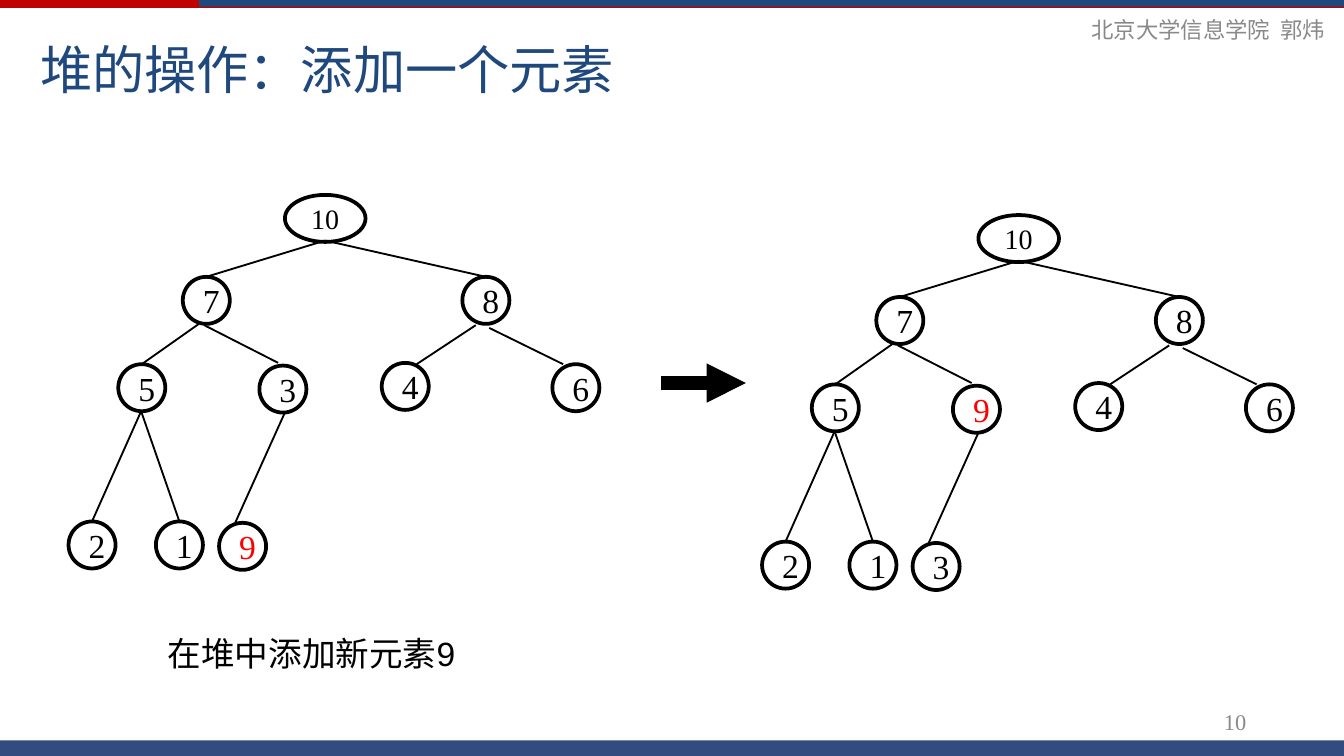
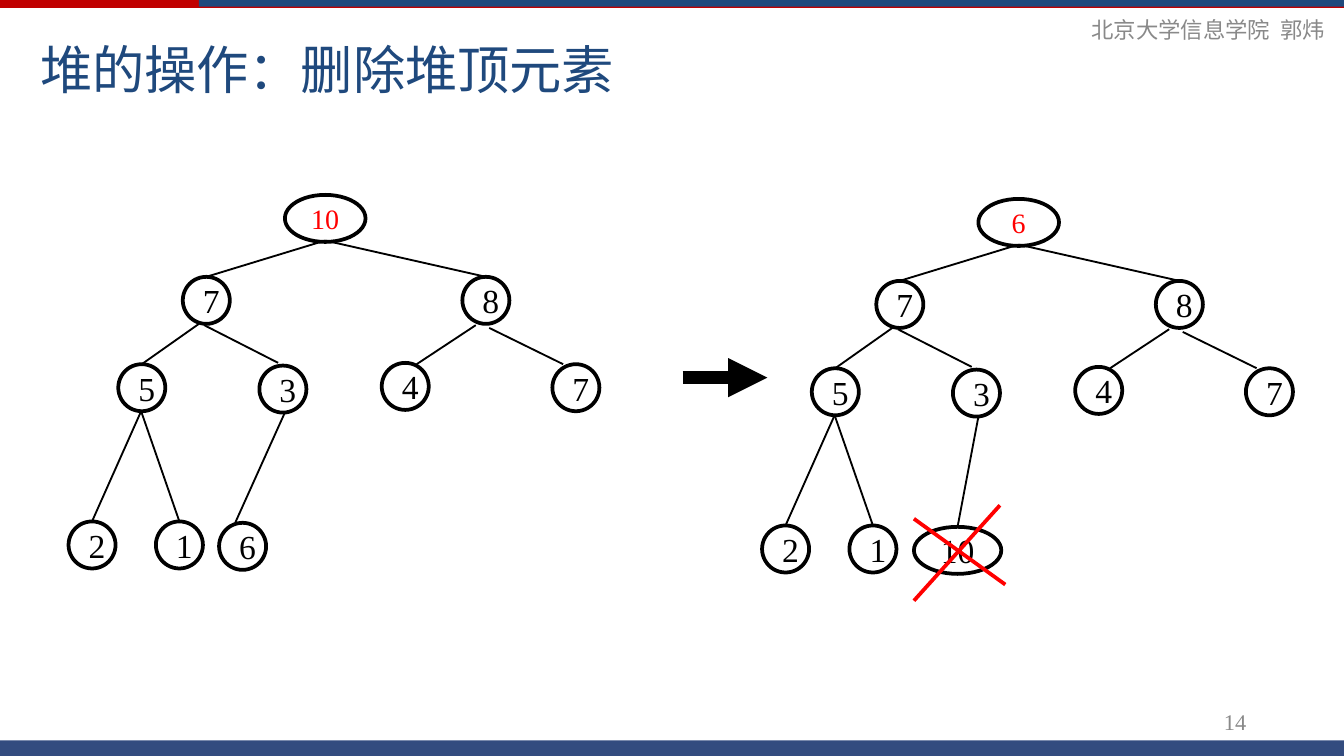
from dataclasses import dataclass, replace
from typing import Optional

from lxml import etree
from pptx import Presentation
from pptx import util as u
from pptx.dml import color
from pptx.enum import shapes, text
from pptx.oxml import ns

BLACK, RED, GREY = "000000", "FF0000", "898989"
BLUE, CRIMSON, NAVY = "1F497D", "C00000", "002060"
SANS, SERIF = "Arial", "Times New Roman"
NODE_SIZE = 0.35
RIGHT_SHIFT = 5.16

Point = tuple[float, float]


@dataclass(frozen=True)
class Slot:
    left: float
    top: float
    edge_start: Optional[Point] = None
    edge_end: Optional[Point] = None
    width: float = NODE_SIZE
    font_size: int = 18

    @property
    def top_middle(self) -> Point:
        return self.left + self.width / 2, self.top


@dataclass(frozen=True)
class Heap:
    values: list[int]
    red_index: Optional[int] = None
    dx: float = 0
    dy: float = 0
    wide_last: bool = False


@dataclass(frozen=True)
class Page:
    title: str
    number: int
    heaps: list[Heap]
    arrow_start: Point
    caption: str = ""
    cross: tuple[tuple[Point, Point], ...] = ()


SLOTS = [
    Slot(2.12, 1.45, width=0.6, font_size=15),
    Slot(1.36, 2.06, (2.42, 1.79)),
    Slot(3.44, 2.06, (2.42, 1.79)),
    Slot(0.88, 2.71, (1.48, 2.41)),
    Slot(1.93, 2.72, (1.52, 2.42), (2.07, 2.7)),
    Slot(2.84, 2.7, (3.54, 2.42), (3.1, 2.71)),
    Slot(4.11, 2.71, (3.64, 2.44), (4.19, 2.71)),
    Slot(0.51, 3.88, (1.05, 3.06)),
    Slot(1.16, 3.88, (1.05, 3.06)),
    Slot(1.63, 3.89, (2.12, 3.07), (1.75, 3.89)),
]
WIDE_LAST = replace(SLOTS[-1], left=1.64, width=0.65, edge_end=None)

PAGES = [
    Page(
        "堆的操作：添加一个元素", 10,
        [
            Heap([10, 7, 8, 5, 3, 4, 6, 2, 1, 9], red_index=9),
            Heap([10, 7, 8, 5, 9, 4, 6, 2, 1, 3], red_index=4, dx=RIGHT_SHIFT, dy=0.15),
        ],
        arrow_start=(4.92, 2.85),
        caption="在堆中添加新元素9",
    ),
    Page(
        "堆的操作：删除堆顶元素", 14,
        [
            Heap([10, 7, 8, 5, 3, 4, 7, 2, 1, 6], red_index=0),
            Heap([6, 7, 8, 5, 3, 4, 7, 2, 1, 10], red_index=0,
                 dx=RIGHT_SHIFT, dy=0.03, wide_last=True),
        ],
        arrow_start=(5.08, 2.81),
        cross=(((7.44, 3.76), (6.8, 4.47)), ((7.48, 4.35), (6.8, 3.86))),
    ),
]


def rgb(value: str) -> color.RGBColor:
    return color.RGBColor.from_string(value)


def write(shape, content: str, *, size: float = 18, font: str = SERIF, fill: str = BLACK,
          align=text.PP_ALIGN.CENTER, anchor=text.MSO_ANCHOR.MIDDLE) -> None:
    frame = shape.text_frame
    frame.word_wrap = True
    frame.vertical_anchor = anchor
    paragraph = frame.paragraphs[0]
    paragraph.alignment = align
    run = paragraph.add_run()
    run.text = content
    run.font.size = u.Pt(size)
    run.font.name = font
    run.font.color.rgb = rgb(fill)


def add_text(slide, left: float, top: float, width: float, height: float,
             content: str, **style) -> None:
    box = slide.shapes.add_textbox(*map(u.Inches, (left, top, width, height)))
    write(box, content, **style)


def add_bar(slide, left: float, top: float, width: float, height: float, fill: str,
            opacity: Optional[int] = None) -> None:
    bar = slide.shapes.add_shape(shapes.MSO_SHAPE.RECTANGLE,
                                 *map(u.Inches, (left, top, width, height)))
    bar.shadow.inherit = False
    bar.fill.solid()
    bar.fill.fore_color.rgb = rgb(fill)
    bar.line.fill.background()
    if opacity is not None:
        fill_color = bar.fill._xPr.find(".//" + ns.qn("a:srgbClr"))
        etree.SubElement(fill_color, ns.qn("a:alpha"), val=str(opacity * 1000))


def add_line(slide, start: Point, end: Point, width: float = 1,
             fill: str = BLACK, arrow: bool = False):
    line = slide.shapes.add_connector(shapes.MSO_CONNECTOR.STRAIGHT,
                                      *map(u.Inches, (*start, *end)))
    line.line.color.rgb = rgb(fill)
    line.line.width = u.Pt(width)
    if arrow:
        etree.SubElement(line.line._get_or_add_ln(), ns.qn("a:tailEnd"), type="triangle")
    etree.SubElement(line._element.spPr, ns.qn("a:effectLst"))
    return line


def add_node(slide, slot: Slot, value: int, fill: str):
    node = slide.shapes.add_shape(
        shapes.MSO_SHAPE.OVAL,
        *map(u.Inches, (slot.left, slot.top, slot.width, NODE_SIZE)))
    node.shadow.inherit = False
    node.fill.background()
    node.line.color.rgb = rgb(BLACK)
    node.line.width = u.Pt(2)
    write(node, str(value), size=slot.font_size, fill=fill)
    return node


def shift(point: Point, heap: Heap) -> Point:
    return point[0] + heap.dx, point[1] + heap.dy


def add_heap(slide, heap: Heap) -> None:
    slots = SLOTS[:-1] + [WIDE_LAST] if heap.wide_last else SLOTS
    for index, (slot, value) in enumerate(zip(slots, heap.values)):
        left, top = shift((slot.left, slot.top), heap)
        fill = RED if index == heap.red_index else BLACK
        node = add_node(slide, replace(slot, left=left, top=top), value, fill)
        if slot.edge_start:
            end = slot.edge_end or slot.top_middle
            edge = add_line(slide, shift(slot.edge_start, heap), shift(end, heap))
            if slot.edge_end is None:
                edge.end_connect(node, 0)


def add_frame(slide, page: Page) -> None:
    add_bar(slide, 0, 0, 10, 0.06, CRIMSON)
    add_bar(slide, 1.48, 0, 8.52, 0.05, BLUE)
    add_bar(slide, 0, 5.51, 10, 0.12, NAVY, opacity=80)
    add_text(slide, 7.63, 0.07, 2.33, 0.3, "北京大学信息学院  郭炜",
             size=12, fill=GREY, align=text.PP_ALIGN.RIGHT)
    add_text(slide, 0.2, 0.14, 9, 0.74, page.title,
             size=28, font=SANS, fill=BLUE, align=text.PP_ALIGN.LEFT)
    add_text(slide, 8.77, 5.22, 0.84, 0.3, str(page.number), size=12, fill=GREY)


def add_page(presentation, page: Page) -> None:
    slide = presentation.slides.add_slide(presentation.slide_layouts[6])
    add_frame(slide, page)
    for heap in page.heaps:
        add_heap(slide, heap)
    left, top = page.arrow_start
    add_line(slide, (left, top), (left + 0.63, top), width=7, arrow=True)
    for start, end in page.cross:
        add_line(slide, start, end, width=2, fill=RED)
    if page.caption:
        add_text(slide, 1.15, 4.66, 2.36, 0.4, page.caption, font=SANS,
                 align=text.PP_ALIGN.LEFT, anchor=text.MSO_ANCHOR.TOP)


def main() -> None:
    presentation = Presentation()
    presentation.slide_width = u.Inches(10)
    presentation.slide_height = u.Inches(10) * 9 // 16
    for page in PAGES:
        add_page(presentation, page)
    presentation.save("out.pptx")


if __name__ == "__main__":
    main()
